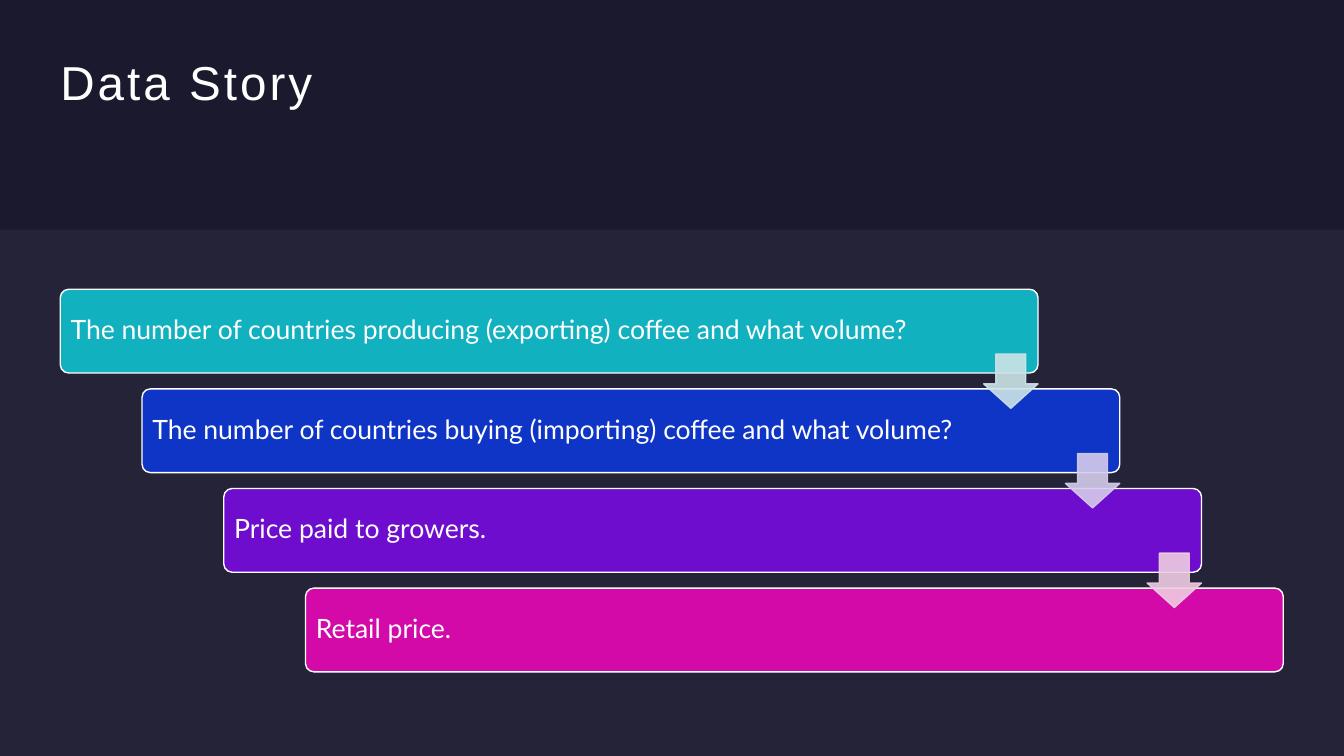
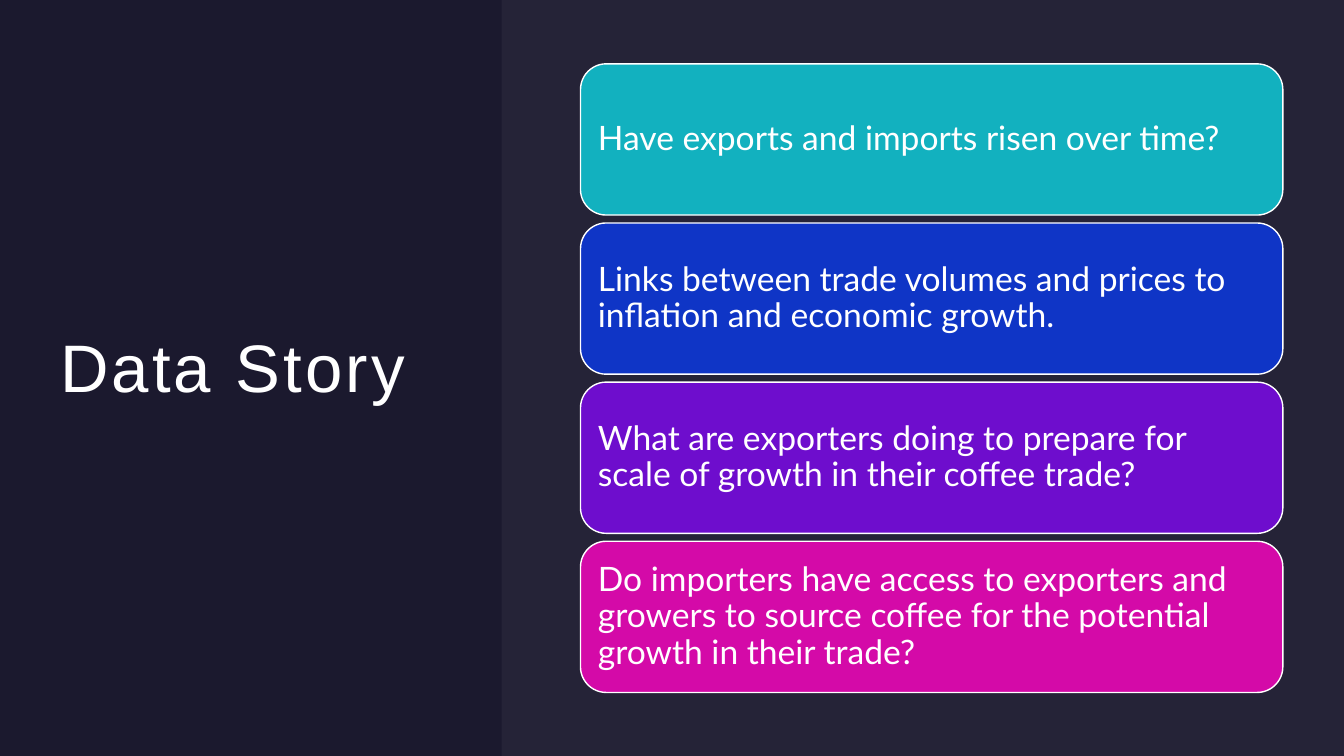
from dataclasses import dataclass
from typing import Optional

import pptx
import pptx.dml.color
import pptx.enum.shapes
import pptx.enum.text
import pptx.oxml.ns
import pptx.util
from lxml import etree
from pptx.util import Cm

# Shared look
SLIDE_WIDTH, SLIDE_HEIGHT = 33.87, 19.05
MARGIN = 1.52
BACKGROUND, PANEL, WHITE = "1B192E", "E4E3F0", "FFFFFF"
BAR_COLOURS = ["12B1BF", "0F35C6", "6E0DCD", "D40AA8"]
ARROW_COLOURS = ["CCE4E8", "D5CCEC", "EFCCE2"]
TITLE_FONT, BODY_FONT = "Arial", "Lato"
ARROW_SIZE = 1.37
SHAPES = pptx.enum.shapes.MSO_SHAPE


@dataclass
class Box:
    left: float
    top: float
    width: float
    height: float


@dataclass
class BarStyle:
    first: Box
    step_right: float
    step_down: float
    corner: float
    inset: float
    size: float


def colour(value: str) -> pptx.dml.color.RGBColor:
    return pptx.dml.color.RGBColor.from_string(value)


def paint(fill, value: str, opacity: int = 100) -> None:
    fill.solid()
    fill.fore_color.rgb = colour(value)
    if opacity < 100:
        for node in fill._xPr.iter(pptx.oxml.ns.qn("a:srgbClr")):
            alpha = etree.SubElement(node, pptx.oxml.ns.qn("a:alpha"))
            alpha.set("val", str(opacity * 1000))


def add_shape(slide, kind, box: Box, fill: str, line: Optional[str] = None,
              opacity: int = 100):
    shape = slide.shapes.add_shape(
        kind, Cm(box.left), Cm(box.top), Cm(box.width), Cm(box.height))
    shape.shadow.inherit = False
    paint(shape.fill, fill, opacity)
    if line:
        paint(shape.line.fill, line, opacity)
        shape.line.width = pptx.util.Pt(1)
    else:
        shape.line.fill.background()
    return shape


def write(shape, text: str, font: str, size: float, inset: float,
          line_spacing: float):
    frame = shape.text_frame
    frame.word_wrap = True
    frame.vertical_anchor = pptx.enum.text.MSO_ANCHOR.MIDDLE
    frame.margin_left = frame.margin_right = Cm(inset)
    frame.margin_top = frame.margin_bottom = Cm(inset)
    paragraph = frame.paragraphs[0]
    paragraph.alignment = pptx.enum.text.PP_ALIGN.LEFT
    paragraph.line_spacing = line_spacing
    run = paragraph.add_run()
    run.text = text
    run.font.name = font
    run.font.size = pptx.util.Pt(size)
    run.font.color.rgb = colour(WHITE)
    return run


def add_story_slide(presentation, title_box: Box, title_size: float,
                    line_spacing: float, panel: Box):
    """Dark slide with a title and a lighter panel."""
    slide = presentation.slides.add_slide(presentation.slide_layouts[6])
    paint(slide.background.fill, BACKGROUND)
    add_shape(slide, SHAPES.RECTANGLE, panel, PANEL, opacity=5)
    title = slide.shapes.add_textbox(
        Cm(title_box.left), Cm(title_box.top),
        Cm(title_box.width), Cm(title_box.height))
    run = write(title, "Data Story", TITLE_FONT, title_size, 0, line_spacing)
    run.font._element.set("spc", "220")
    return slide


def add_bars(slide, texts: list[str], style: BarStyle) -> list[Box]:
    first = style.first
    boxes = [Box(first.left + index * style.step_right,
                 first.top + index * style.step_down,
                 first.width, first.height) for index in range(len(texts))]
    for box, text, fill in zip(boxes, texts, BAR_COLOURS):
        bar = add_shape(slide, SHAPES.ROUNDED_RECTANGLE, box, fill, WHITE)
        bar.adjustments[0] = style.corner
        write(bar, text, BODY_FONT, style.size, style.inset, 0.9)
    return boxes


def add_arrows(slide, bars: list[Box]) -> None:
    """Arrows link each bar to the next, flush with its right edge."""
    for bar, fill in zip(bars, ARROW_COLOURS):
        box = Box(bar.left + bar.width - ARROW_SIZE, bar.top + 1.63,
                  ARROW_SIZE, ARROW_SIZE)
        arrow = add_shape(slide, SHAPES.DOWN_ARROW, box, fill, fill, 90)
        arrow.adjustments[0] = 0.55
        arrow.adjustments[1] = 0.45


def main() -> None:
    presentation = pptx.Presentation()
    presentation.slide_width = Cm(SLIDE_WIDTH)
    presentation.slide_height = Cm(SLIDE_HEIGHT)

    # Staircase of questions
    panel_top = 5.79
    slide = add_story_slide(
        presentation, Box(MARGIN, MARGIN, 20.3, 1.24), 34, 0.9,
        Box(0, panel_top, SLIDE_WIDTH, SLIDE_HEIGHT - panel_top))
    bars = add_bars(slide, [
        "The number of countries producing (exporting) coffee and what volume?",
        "The number of countries buying (importing) coffee and what volume?",
        "Price paid to growers.",
        "Retail price.",
    ], BarStyle(Box(MARGIN, 7.29, 24.64, 2.11), 2.06, 2.51, 0.1, 0.2, 19))
    add_arrows(slide, bars)

    # Stack of questions
    panel_left = 12.64
    slide = add_story_slide(
        presentation, Box(MARGIN, MARGIN, 9.9, 15.4), 48, 1.0,
        Box(panel_left, 0, SLIDE_WIDTH - panel_left, SLIDE_HEIGHT))
    add_bars(slide, [
        "Have exports and imports risen over time?",
        "Links between trade volumes and prices to inflation and economic growth.",
        "What are exporters doing to prepare for scale of growth in their coffee trade?",
        "Do importers have access to exporters and growers to source coffee "
        "for the potential growth in their trade?",
    ], BarStyle(Box(14.63, 1.61, 17.7, 3.81), 0, 4.01, 0.17, 0.25, 24))

    presentation.save("out.pptx")


if __name__ == "__main__":
    main()
